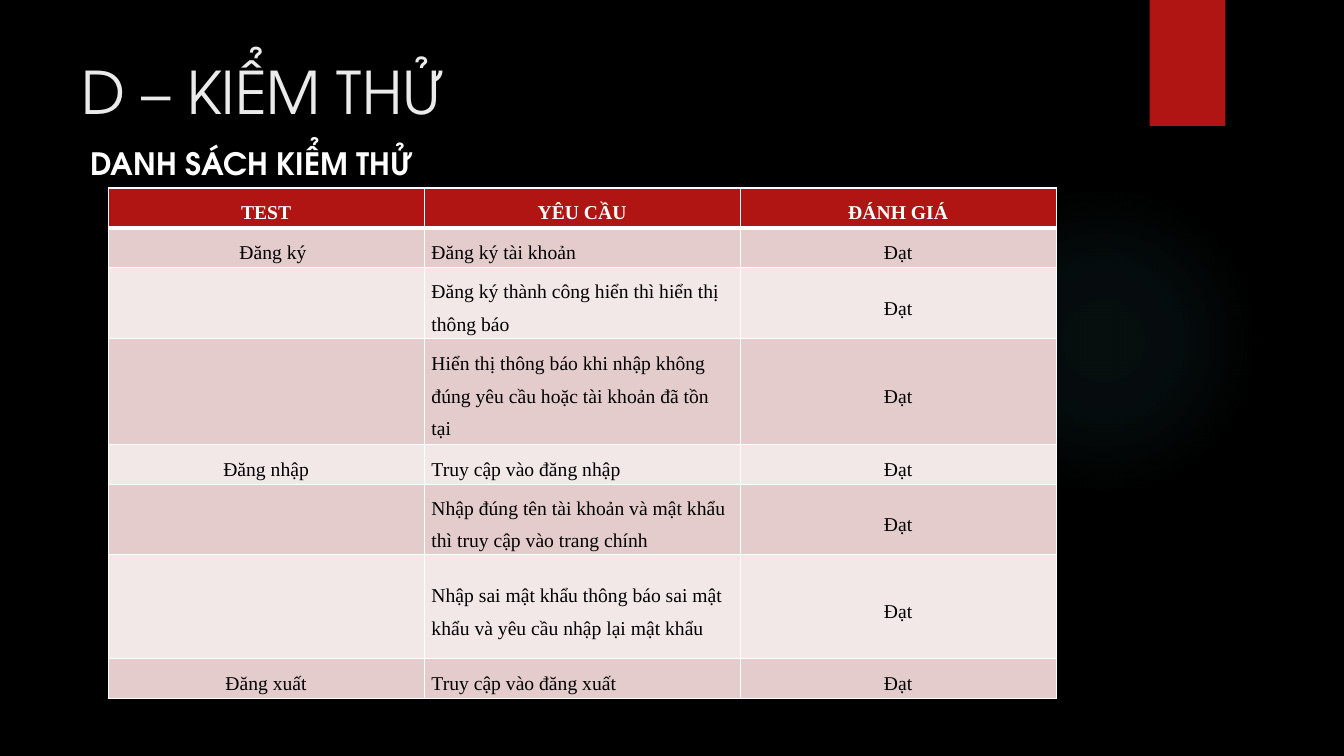
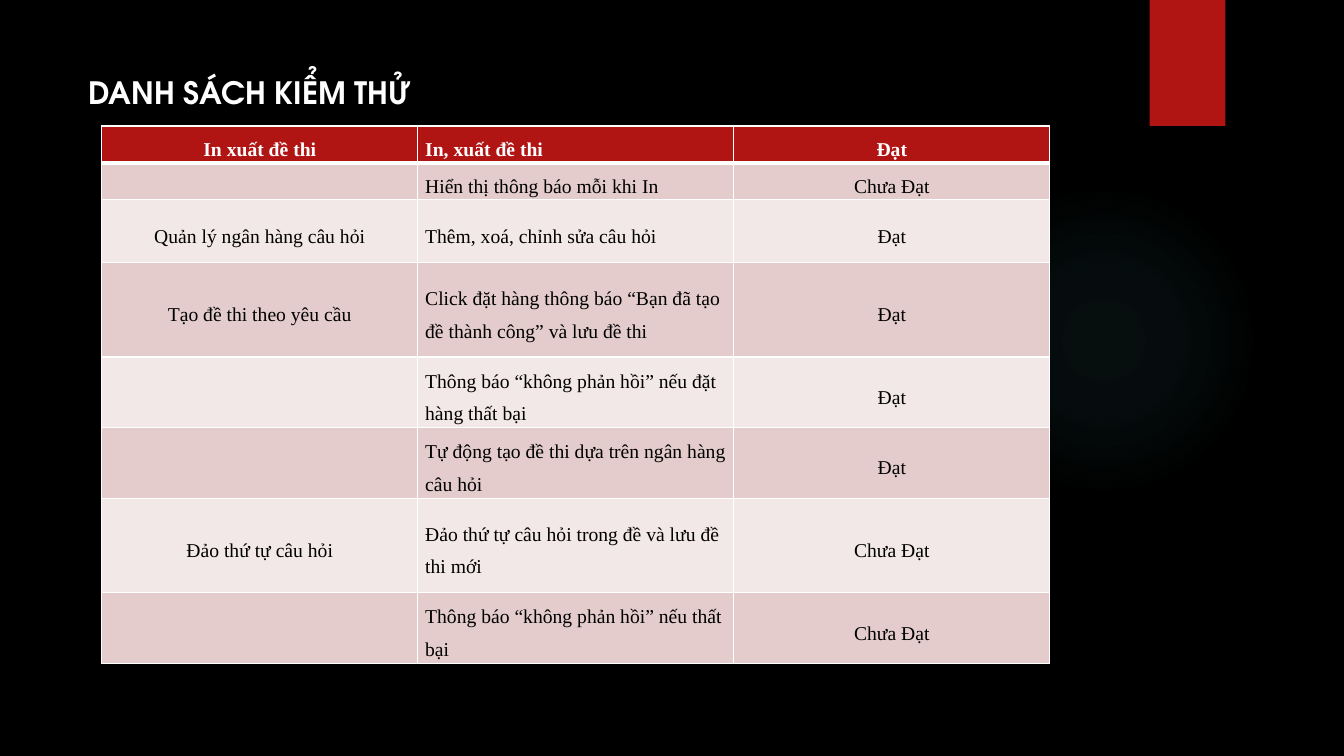
import pptx
import pptx.util
import pptx.dml.color
import pptx.enum.shapes
import pptx.enum.text
import pptx.oxml

RGBColor = pptx.dml.color.RGBColor
BLACK = RGBColor(0x00, 0x00, 0x00)
WHITE = RGBColor(0xFF, 0xFF, 0xFF)
TITLE_GREY = RGBColor(0xEB, 0xEB, 0xEB)
RED = RGBColor(0xB0, 0x15, 0x13)
PINK = RGBColor(0xE4, 0xCC, 0xCC)
PALE_PINK = RGBColor(0xF2, 0xE8, 0xE7)
GLOW = RGBColor(0x50, 0xB9, 0xC1)

HEADING_FONT = "TeX Gyre Adventor"
TABLE_FONT = "Times New Roman"
PX = 9525
COLUMN_WIDTH = 301
CELL_INSET = 7
FIRST_LINE_INDENT = 13
NAMESPACE = 'xmlns:a="http://schemas.openxmlformats.org/drawingml/2006/main"'
ALIGN = pptx.enum.text.PP_ALIGN
SHAPE = pptx.enum.shapes.MSO_SHAPE

PAGES = [
    {
        "headings": [
            ("D – KIỂM THỬ", (68, 48, 988, 147), 42, TITLE_GREY, False),
            ("DANH SÁCH KIỂM THỬ", (77, 133, 440, 45), 22, WHITE, True),
        ],
        "table_at": (103, 179),
        "header_align": ALIGN.CENTER,
        "header_space": 0,
        "rows": [
            (38, "TEST", "YÊU CẦU", "ĐÁNH GIÁ"),
            (38, "Đăng ký", "Đăng ký tài khoản", "Đạt"),
            (67, "", "Đăng ký thành công hiển thì hiển thị thông báo", "Đạt"),
            (101, "", "Hiển thị thông báo khi nhập không đúng yêu cầu hoặc tài khoản đã tồn tại", "Đạt"),
            (38, "Đăng nhập", "Truy cập vào đăng nhập", "Đạt"),
            (67, "", "Nhập đúng tên tài khoản và mật khẩu thì truy cập vào trang chính", "Đạt"),
            (99, "", "Nhập sai mật khẩu thông báo sai mật khẩu và yêu cầu nhập lại mật khẩu", "Đạt"),
            (38, "Đăng xuất", "Truy cập vào đăng xuất", "Đạt"),
        ],
    },
    {
        "headings": [
            ("DANH SÁCH KIỂM THỬ", (75, 65, 440, 45), 22, WHITE, True),
        ],
        "table_at": (97, 120),
        "header_align": ALIGN.LEFT,
        "header_space": 8,
        "rows": [
            (35, "In xuất đề thi", "In, xuất đề thi", "Đạt"),
            (35, "", "Hiển thị thông báo mỗi khi In", "Chưa Đạt"),
            (60, "Quản lý ngân hàng câu hỏi", "Thêm, xoá, chỉnh sửa câu hỏi", "Đạt"),
            (90, "Tạo đề thi theo yêu cầu", "Click đặt hàng thông báo “Bạn đã tạo đề thành công” và lưu đề thi", "Đạt"),
            (67, "", "Thông báo “không phản hồi” nếu đặt hàng thất bại", "Đạt"),
            (67, "", "Tự động tạo đề thi dựa trên ngân hàng câu hỏi", "Đạt"),
            (90, "Đảo thứ tự câu hỏi", "Đảo thứ tự câu hỏi trong đề và lưu đề thi mới", "Chưa Đạt"),
            (67, "", "Thông báo “không phản hồi” nếu thất bại", "Chưa Đạt"),
        ],
    },
]


def add_span(para, text, font, size, color, bold):
    span = para.add_run()
    span.text = text
    span.font.name = font
    span.font.size = pptx.util.Pt(size)
    span.font.color.rgb = color
    span.font.bold = bold


def add_borders(cell, bottom_width):
    properties = cell._tc.get_or_add_tcPr()
    for side, width in (("L", 1), ("R", 1), ("T", 1), ("B", bottom_width)):
        properties.append(pptx.oxml.parse_xml(
            f'<a:ln{side} {NAMESPACE} w="{pptx.util.Pt(width)}">'
            f'<a:solidFill><a:srgbClr val="{WHITE}"/></a:solidFill></a:ln{side}>'))


deck = pptx.Presentation()
deck.slide_width = 1280 * PX
deck.slide_height = 720 * PX
backdrop = deck.slide_master.background.fill
backdrop.solid()
backdrop.fore_color.rgb = BLACK

glow_stops = "".join(
    f'<a:gs pos="{position * 1000}"><a:srgbClr val="{GLOW}"><a:alpha val="{alpha * 1000}"/></a:srgbClr></a:gs>'
    for position, alpha in ((0, 7), (36, 6), (69, 0)))

for content in PAGES:
    page = deck.slides.add_slide(deck.slide_layouts[6])

    glow = page.shapes.add_shape(SHAPE.OVAL, 903 * PX, 176 * PX, 296 * PX, 296 * PX)
    glow.shadow.inherit = False
    glow.line.fill.background()
    glow._element.spPr.find(pptx.oxml.ns.qn("a:prstGeom")).addnext(pptx.oxml.parse_xml(
        f'<a:gradFill {NAMESPACE}><a:gsLst>{glow_stops}</a:gsLst><a:path path="circle">'
        '<a:fillToRect l="50000" t="50000" r="50000" b="50000"/></a:path></a:gradFill>'))

    ribbon = page.shapes.add_shape(SHAPE.RECTANGLE, 1095 * PX, 0, 72 * PX, 120 * PX)
    ribbon.shadow.inherit = False
    ribbon.fill.solid()
    ribbon.fill.fore_color.rgb = RED
    ribbon.line.fill.background()

    for text, place, size, color, bold in content["headings"]:
        box = page.shapes.add_textbox(*(length * PX for length in place))
        box.text_frame.word_wrap = True
        add_span(box.text_frame.paragraphs[0], text, HEADING_FONT, size, color, bold)

    rows = content["rows"]
    left, top = content["table_at"]
    height = sum(row[0] for row in rows)
    table = page.shapes.add_table(
        len(rows), 3, left * PX, top * PX, 3 * COLUMN_WIDTH * PX, height * PX).table
    for column in table.columns:
        column.width = COLUMN_WIDTH * PX

    for row_index, (row_height, *texts) in enumerate(rows):
        table.rows[row_index].height = row_height * PX
        is_header = row_index == 0
        for column_index, text in enumerate(texts):
            cell = table.cell(row_index, column_index)
            add_borders(cell, 3 if is_header else 1)
            cell.fill.solid()
            cell.fill.fore_color.rgb = RED if is_header else (PALE_PINK, PINK)[row_index % 2]
            cell.vertical_anchor = pptx.enum.text.MSO_ANCHOR.MIDDLE
            cell.margin_left = cell.margin_right = CELL_INSET * PX
            cell.margin_top = cell.margin_bottom = 0
            if not text:
                continue
            para = cell.text_frame.paragraphs[0]
            para.line_spacing = 1.5
            para.space_after = pptx.util.Pt(content["header_space"] if is_header else 8)
            para.alignment = ALIGN.CENTER
            if column_index == 1:
                para.alignment = content["header_align"] if is_header else ALIGN.LEFT
            if text == "Đăng ký":
                para._p.get_or_add_pPr().set("indent", str(FIRST_LINE_INDENT * PX))
            add_span(para, text, TABLE_FONT, 14, WHITE if is_header else BLACK, is_header)

deck.save("out.pptx")
